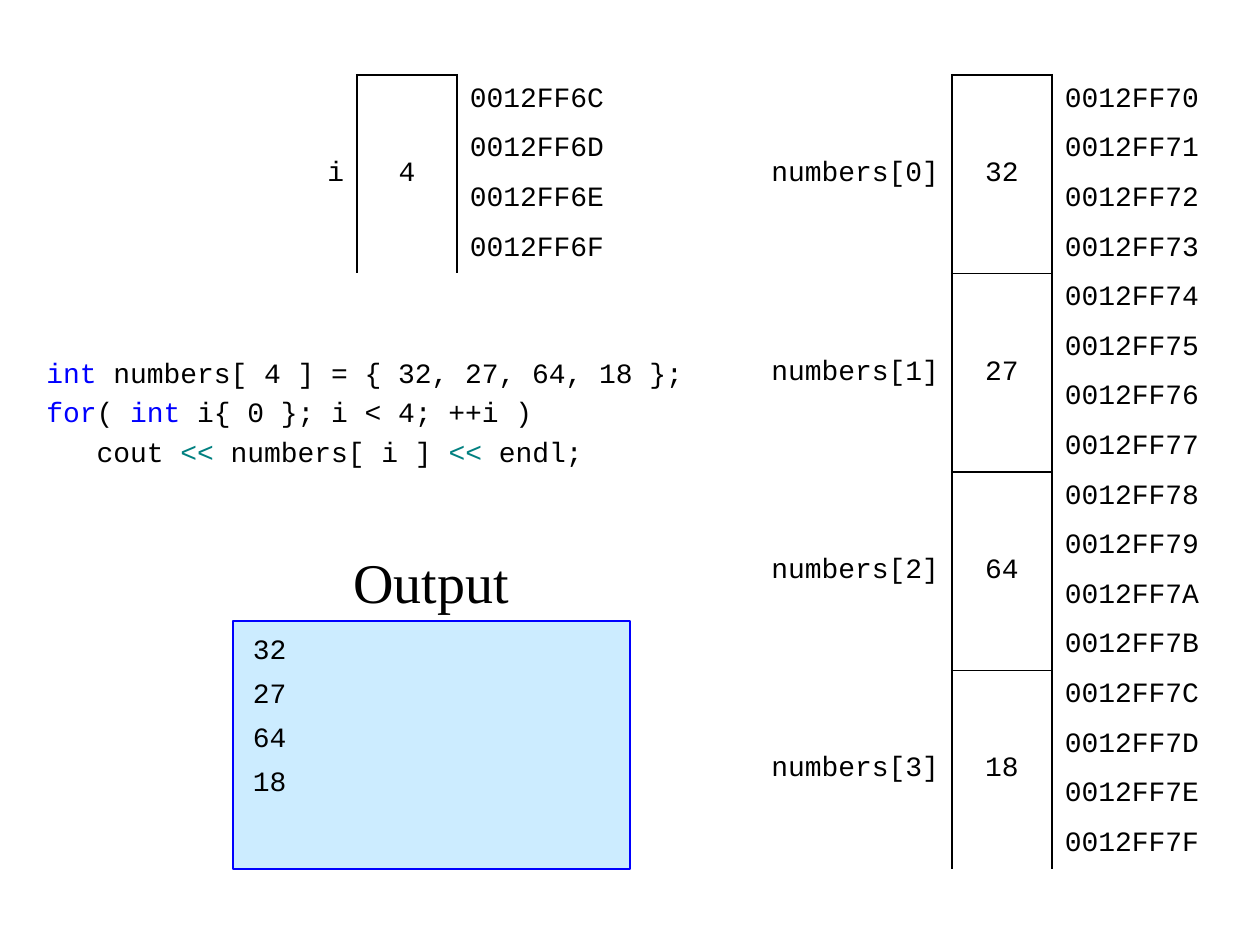
import pptx
import pptx.util
import pptx.dml.color
import pptx.enum.text
import pptx.enum.shapes
import pptx.oxml
import pptx.oxml.ns

PX = pptx.util.Inches(1) / 126
ALIGN = pptx.enum.text.PP_ALIGN
ANCHOR = pptx.enum.text.MSO_ANCHOR
NO_STYLE = "{2D5ABB26-0587-4C30-8999-92F81FD0307C}"


def px(*lengths):
    return [round(n * PX) for n in lengths]


def add_run(p, text, color="000000", size=16, font="Courier New"):
    r = p.add_run()
    r.text = text
    r.font.size = pptx.util.Pt(size)
    r.font.name = font
    r.font.color.rgb = pptx.dml.color.RGBColor.from_string(color)


prs = pptx.Presentation()
prs.slide_width, prs.slide_height = px(1260, 945)
s = prs.slides.add_slide(prs.slide_layouts[6])

code = [
    [("int", "0000FF"), (" numbers[ 4 ] = { 32, 27, 64, 18 };", "000000")],
    [("for", "0000FF"), ("( ", "000000"), ("int", "0000FF"),
     (" i{ 0 }; i < 4; ++i )", "000000")],
    [("   cout ", "000000"), ("<<", "008080"), (" numbers[ i ] ", "000000"),
     ("<<", "008080"), (" endl;", "000000")],
]
sp = s.shapes.add_textbox(*px(34, 349, 670, 123))
tf = sp.text_frame
tf.word_wrap = True
for i, line in enumerate(code):
    p = tf.paragraphs[0] if i == 0 else tf.add_paragraph()
    if i:
        p.space_before = pptx.util.Pt(3.5)
    for text, color in line:
        add_run(p, text, color)

numbers = [32, 27, 64, 18]
memory = [
    (754, 198, 0x0012FF70, [(f"numbers[{i}]", n) for i, n in enumerate(numbers)]),
    (307, 50, 0x0012FF6C, [("i", 4)]),
]
row_height = px(794)[0] // 16
for left, label_width, address, variables in memory:
    rows = 4 * len(variables)
    x, y, width = px(left, 75, label_width + 274)
    frame = s.shapes.add_table(rows, 3, x, y, width, rows * row_height)
    table = frame.table
    table.first_row = False
    table.horz_banding = False
    frame._element.find(".//" + pptx.oxml.ns.qn("a:tableStyleId")).text = NO_STYLE
    for column, w in zip(table.columns, px(label_width, 100, 174)):
        column.width = w
    for row in range(rows):
        table.rows[row].height = row_height
        label, value = variables[row // 4]
        texts = [label, str(value), f"{address + row:08X}"]
        value_borders = {"L": 1.5, "R": 1.5}
        if row % 4 == 0:
            value_borders["T"] = 1 if row else 1.5
        if row % 4 == 3:
            value_borders["B"] = 1 if row < rows - 1 else 1.5
        borders = [{"R": 1.5}, value_borders, {"L": 1.5}]
        for col, align in enumerate([ALIGN.RIGHT, ALIGN.CENTER, ALIGN.LEFT]):
            cell = table.cell(row, col)
            cell.vertical_anchor = ANCHOR.MIDDLE
            cell.margin_left, cell.margin_right = px(13, 13)
            cell.margin_top, cell.margin_bottom = px(5, 5) if col == 2 else px(0, 0)
            for side in "LRTB":
                if side in borders[col]:
                    cell._tc.get_or_add_tcPr().append(pptx.oxml.parse_xml(
                        f'<a:ln{side} {pptx.oxml.ns.nsdecls("a")} '
                        f'w="{pptx.util.Pt(borders[col][side])}"><a:solidFill>'
                        f'<a:srgbClr val="000000"/></a:solidFill></a:ln{side}>'))
            cell.fill.background()
            if col == 2 or row % 4 == 0:
                p = cell.text_frame.paragraphs[0]
                p.alignment = align
                add_run(p, texts[col])
    for row in range(0, rows, 4):
        for col in range(2):
            table.cell(row, col).merge(table.cell(row + 3, col))

sp = s.shapes.add_shape(pptx.enum.shapes.MSO_SHAPE.RECTANGLE, *px(233, 621, 397, 248))
sp.shadow.inherit = False
sp.fill.solid()
sp.fill.fore_color.rgb = pptx.dml.color.RGBColor.from_string("CCECFF")
sp.line.color.rgb = pptx.dml.color.RGBColor.from_string("0000FF")
sp.line.width = pptx.util.Pt(1.5)
tf = sp.text_frame
tf.word_wrap = True
tf.vertical_anchor = ANCHOR.TOP
tf.margin_left, tf.margin_top, tf.margin_right, tf.margin_bottom = px(20, 10, 13, 6)
for i, n in enumerate(numbers):
    p = tf.paragraphs[0] if i == 0 else tf.add_paragraph()
    p.alignment = ALIGN.LEFT
    if i:
        p.space_before = pptx.util.Pt(6)
    add_run(p, str(n))

sp = s.shapes.add_textbox(*px(332, 547, 198, 74))
tf = sp.text_frame
tf.word_wrap = False
tf.vertical_anchor = ANCHOR.BOTTOM
p = tf.paragraphs[0]
p.alignment = ALIGN.CENTER
add_run(p, "Output", size=32, font="Times New Roman")

prs.save("out.pptx")
